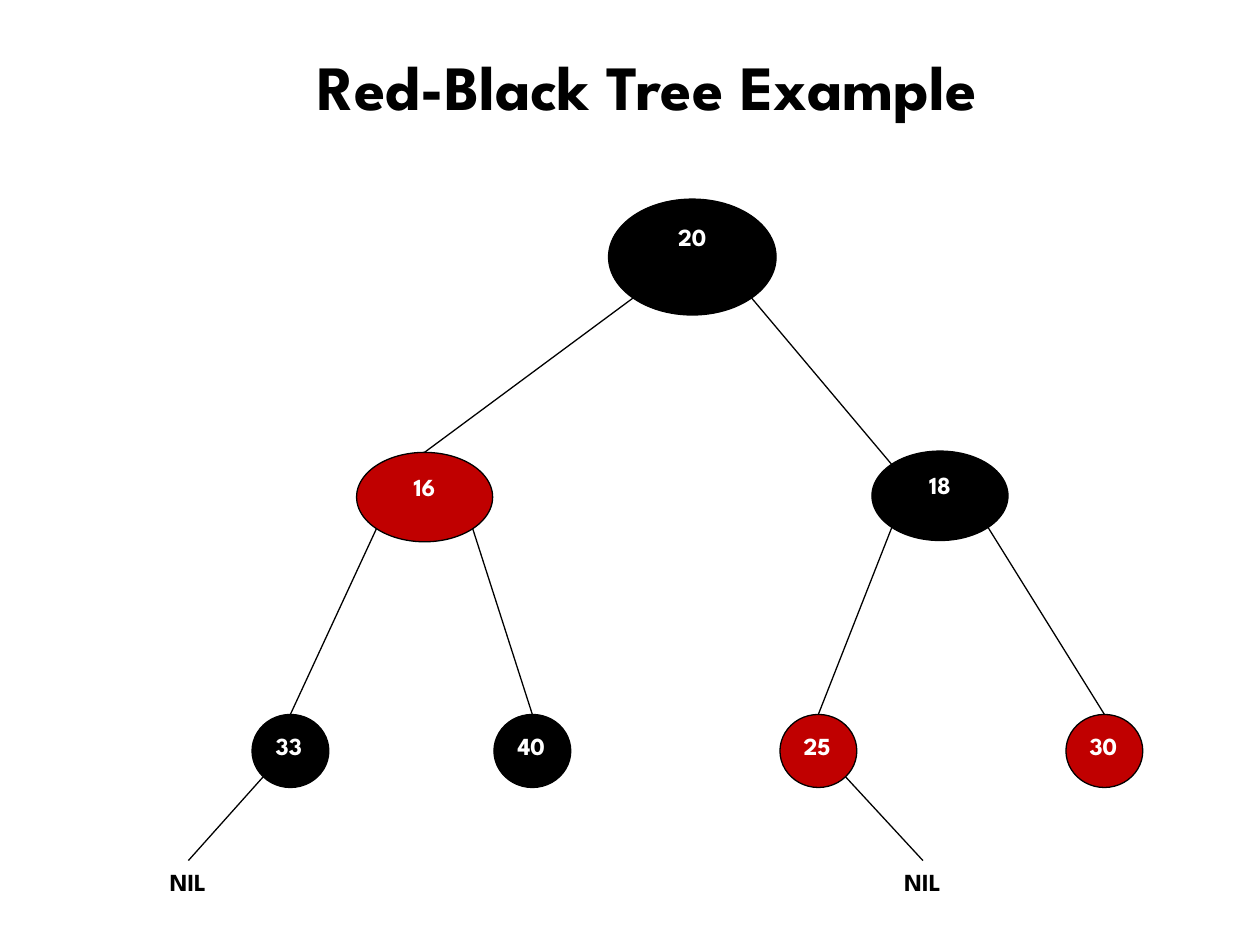
from math import sqrt

from lxml import etree
from pptx import Presentation
from pptx.dml.color import RGBColor
from pptx.enum.shapes import MSO_CONNECTOR, MSO_SHAPE
from pptx.enum.text import MSO_ANCHOR, MSO_AUTO_SIZE, PP_ALIGN
from pptx.oxml.ns import qn
from pptx.util import Inches, Pt

OVAL = MSO_SHAPE.OVAL
STRAIGHT = MSO_CONNECTOR.STRAIGHT
TOP = MSO_ANCHOR.TOP
GROW = MSO_AUTO_SIZE.SHAPE_TO_FIT_TEXT
LEFT, CENTER = PP_ALIGN.LEFT, PP_ALIGN.CENTER

FONT = "League Spartan"
BLACK, RED, WHITE = "000000", "C00000", "FFFFFF"
LINE_WIDTH = Pt(0.75)


def rgb(color):
    return RGBColor.from_string(color)


def write(paragraph, text, size, color):
    run = paragraph.add_run()
    run.text = text
    run.font.name = FONT
    run.font.size = Pt(size)
    run.font.bold = True
    run.font.color.rgb = rgb(color)


prs = Presentation()
prs.slide_width, prs.slide_height = Inches(10), Inches(7.5)
slide = prs.slides.add_slide(prs.slide_layouts[6])

# Tree nodes: left, top, width, height, fill, alignment
LEAF_TOP, LEAF_W, LEAF_H = 5.67, 0.61, 0.58
nodes = {
    "20": (4.83, 1.58, 1.33, 0.92, BLACK, CENTER),
    "16": (2.83, 3.59, 1.08, 0.71, RED, CENTER),
    "18": (6.92, 3.58, 1.08, 0.71, BLACK, CENTER),
    "33": (2, LEAF_TOP, LEAF_W, LEAF_H, BLACK, LEFT),
    "40": (3.92, LEAF_TOP, LEAF_W, LEAF_H, BLACK, LEFT),
    "25": (6.19, LEAF_TOP, LEAF_W, LEAF_H, RED, LEFT),
    "30": (8.46, LEAF_TOP, LEAF_W, LEAF_H, RED, LEFT),
}
for key, (left, top, width, height, fill, align) in nodes.items():
    node = slide.shapes.add_shape(
        OVAL, Inches(left), Inches(top), Inches(width), Inches(height))
    node.shadow.inherit = False
    node.fill.solid()
    node.fill.fore_color.rgb = rgb(fill)
    node.line.color.rgb = rgb(BLACK)
    node.line.width = LINE_WIDTH
    node.text_frame.vertical_anchor = TOP
    label = node.text_frame.paragraphs[0]
    label.alignment = align
    write(label, key, 14, WHITE)

# Title and the NIL leaves
NIL_TOP, NIL_W, NIL_H = 6.83, 0.49, 0.34
nil_lefts = {"33": 1.25, "25": 7.08}
captions = [("Red-Black Tree Example", 36, 2.42, 0.33, 6.16, 0.71)]
captions += [("NIL", 14, left, NIL_TOP, NIL_W, NIL_H) for left in nil_lefts.values()]
for text, size, left, top, width, height in captions:
    caption = slide.shapes.add_textbox(
        Inches(left), Inches(top), Inches(width), Inches(height))
    caption.text_frame.word_wrap = False
    caption.text_frame.auto_size = GROW
    write(caption.text_frame.paragraphs[0], text, size, BLACK)

# Edges: parent, side it leaves from (-1 left, 1 right), end point
DIAGONAL = 1 / sqrt(2)
edges = [("20", 1, 7.08, 3.69)]  # meets the upper left of 18
for parent, side, child in [("20", -1, "16"), ("16", -1, "33"), ("16", 1, "40"),
                            ("18", -1, "25"), ("18", 1, "30")]:
    left, top, width = nodes[child][:3]
    edges.append((parent, side, left + width / 2, top))
for parent, side in [("33", -1), ("25", 1)]:
    edges.append((parent, side, nil_lefts[parent] + NIL_W / 2, NIL_TOP))

for parent, side, end_x, end_y in edges:
    left, top, width, height = nodes[parent][:4]
    start_x = left + width / 2 * (1 + side * DIAGONAL)
    start_y = top + height / 2 * (1 + DIAGONAL)
    edge = slide.shapes.add_connector(
        STRAIGHT, Inches(start_x), Inches(start_y), Inches(end_x), Inches(end_y))
    edge.line.color.rgb = rgb(BLACK)
    edge.line.width = LINE_WIDTH
    etree.SubElement(edge._element.spPr, qn("a:effectLst"))

prs.save("out.pptx")
